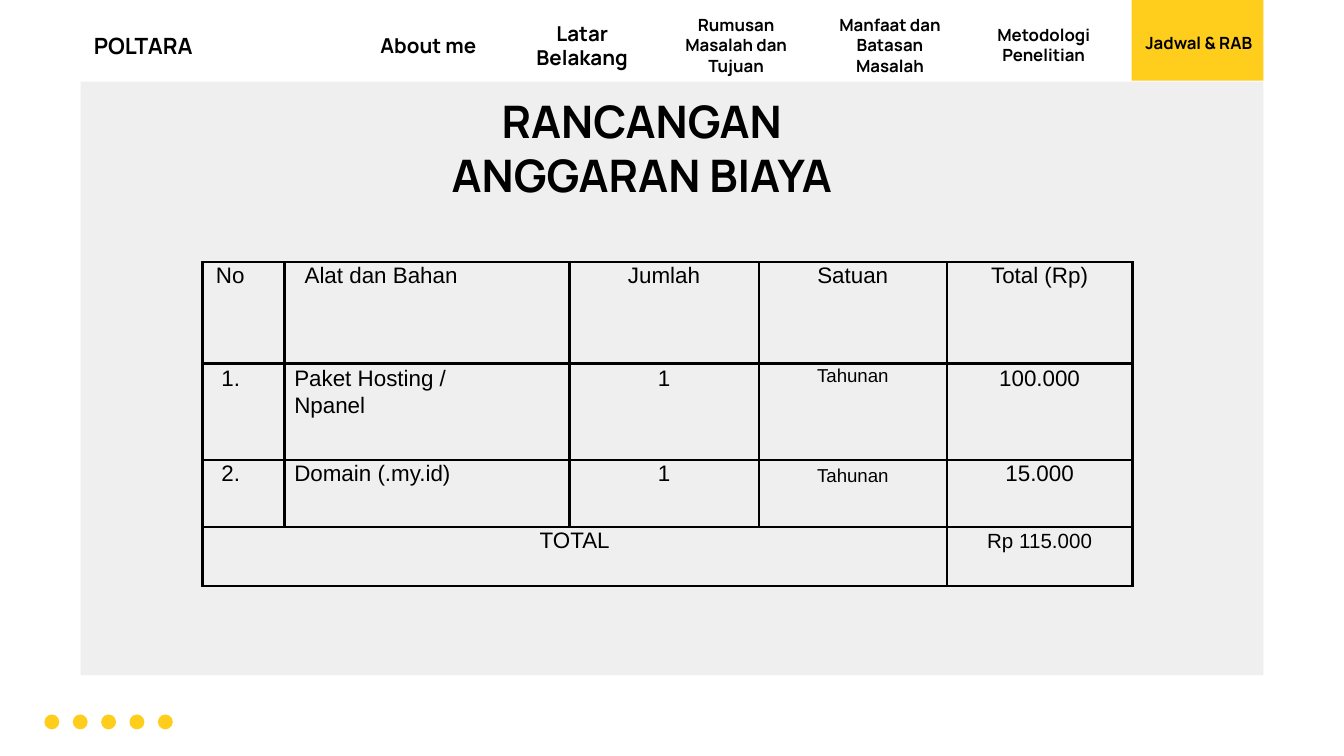
from lxml.etree import SubElement
from pptx import Presentation
from pptx.dml.color import RGBColor
from pptx.enum.shapes import MSO_SHAPE
from pptx.enum.text import MSO_ANCHOR, MSO_AUTO_SIZE, PP_ALIGN
from pptx.oxml.ns import qn
from pptx.util import Pt

# Content
BRAND = "POLTARA"
TITLE = "RANCANGAN ANGGARAN BIAYA"
TABS = [  # label, type size
    ("About me", "tab"),
    ("Latar Belakang", "tab"),
    ("Rumusan Masalah dan Tujuan", "small"),
    ("Manfaat dan Batasan Masalah", "small"),
    ("Metodologi Penelitian", "small"),
    ("Jadwal & RAB", "small"),
]
ROWS = [
    ["No", "Alat dan Bahan", "Jumlah", "Satuan", "Total (Rp)"],
    ["1.", "Paket Hosting / Npanel", "1", "Tahunan", "100.000"],
    ["2.", "Domain (.my.id)", "1", "Tahunan", "15.000"],
    ["TOTAL", "", "", "", "Rp 115.000"],
]
COLS = [43.9, 152.6, 101.5, 100.8, 99.4]
HIGHS = [54.3, 51.8, 35.8, 31.7]
INDENTS = {0: (7.2, 10.1), 1: (10.8, 5.3)}  # column: head, body
SIZES = {(1, 3): "unit", (2, 3): "unit", (3, 4): "sum"}

THEME = {
    "ink": RGBColor(0, 0, 0),
    "gold": RGBColor(0xFF, 0xCE, 0x1C),
    "grey": RGBColor(0xEF, 0xEF, 0xEF),
    "head": "Manrope",
    "body": "Arial",
    "size": {"title": 24, "brand": 12, "tab": 11, "small": 9,
             "cell": 12, "unit": 10, "sum": 11},
}

# Layout
LEFT, WIDTH = 43.2, 633.6
STEP, TAB_X, TAB_W = 82.4, 194.2, 70.6


def pts(*nums):
    return [Pt(n) for n in nums]


def add_run(para, text, size, font, bold=False):
    run = para.add_run()
    run.text = text
    run.font.name = font
    run.font.size = Pt(THEME["size"][size])
    run.font.bold = bold
    run.font.color.rgb = THEME["ink"]


def fill_frame(frame, text, size, align, anchor):
    frame.word_wrap = True
    frame.auto_size = MSO_AUTO_SIZE.NONE
    frame.vertical_anchor = anchor
    for side in ("left", "right", "top", "bottom"):
        setattr(frame, "margin_" + side, Pt(7.2))
    para = frame.paragraphs[0]
    para.alignment = align
    add_run(para, text, size, THEME["head"], True)


def add_label(slide, box, text, size, align=PP_ALIGN.CENTER):
    label = slide.shapes.add_textbox(*pts(*box))
    fill_frame(label.text_frame, text, size, align, MSO_ANCHOR.MIDDLE)


def add_block(slide, kind, box, color):
    block = slide.shapes.add_shape(kind, *pts(*box))
    block.shadow.inherit = False
    block.fill.solid()
    block.fill.fore_color.rgb = THEME[color]
    block.line.fill.background()


def add_title(slide):
    title = slide.shapes.title
    title.left, title.top, title.width, title.height = pts(195.1, 43.2, 297.4, 65.5)
    fill_frame(title.text_frame, TITLE, "title", PP_ALIGN.CENTER, MSO_ANCHOR.TOP)
    # Bring the title in front of the panel
    slide.shapes._spTree.append(title._element)


def add_edges(cell):
    props = cell._tc.get_or_add_tcPr()
    for tag in ("a:lnL", "a:lnR", "a:lnT", "a:lnB"):
        edge = SubElement(props, qn(tag), w=str(Pt(1.5)))
        paint = SubElement(edge, qn("a:solidFill"))
        SubElement(paint, qn("a:srgbClr"), val=str(THEME["ink"]))


def fill_cell(cell, text, row, col):
    add_edges(cell)
    cell.fill.background()
    cell.margin_left = cell.margin_right = 0
    cell.margin_top = cell.margin_bottom = 0
    para = cell.text_frame.paragraphs[0]
    para.line_spacing = Pt(13.8)
    if row == 1:
        para.line_spacing = 1.07
        cell.margin_top = Pt(0.5)
    if col in INDENTS and row < 3:
        cell.margin_left = Pt(INDENTS[col][row > 0])
        cell.margin_right = Pt(36 if col == 1 else 0)
    else:
        para.alignment = PP_ALIGN.CENTER
    if text:
        add_run(para, text, SIZES.get((row, col), "cell"), THEME["body"])


def add_budget(slide):
    box = pts(108.5, 140.5, sum(COLS), sum(HIGHS))
    table = slide.shapes.add_table(len(ROWS), len(COLS), *box).table
    table.first_row = table.horz_banding = False
    for col, width in zip(table.columns, COLS):
        col.width = Pt(width)
    for row, high in zip(table.rows, HIGHS):
        row.height = Pt(high)
    for r, row in enumerate(ROWS):
        for c, text in enumerate(row):
            fill_cell(table.cell(r, c), text, r, c)
    table.cell(3, 0).merge(table.cell(3, 3))


def main():
    deck = Presentation()
    deck.slide_width, deck.slide_height = pts(720, 405)
    slide = deck.slides.add_slide(deck.slide_layouts[5])

    # Panel and dots
    add_block(slide, MSO_SHAPE.RECTANGLE, (LEFT, 43.8, WIDTH, 318), "grey")
    for i in range(5):
        add_block(slide, MSO_SHAPE.OVAL, (23.8 + 15.2 * i, 382.8, 8, 8), "gold")

    # Top bar, with the last tab active
    add_label(slide, (LEFT, 16.6, 142.6, 15.1), BRAND, "brand", PP_ALIGN.LEFT)
    last = len(TABS) - 1
    for i, (text, size) in enumerate(TABS):
        x = TAB_X + STEP * i
        box = (x, 16.6, TAB_W, 15.1)
        if i == last:
            add_block(slide, MSO_SHAPE.RECTANGLE, (x, 0, TAB_W, 43.2), "gold")
            box = (x - 3.6, 16.1, 79.2, 13.7)
        add_label(slide, box, text, size)

    add_title(slide)
    add_budget(slide)
    deck.save("out.pptx")


if __name__ == "__main__":
    main()
